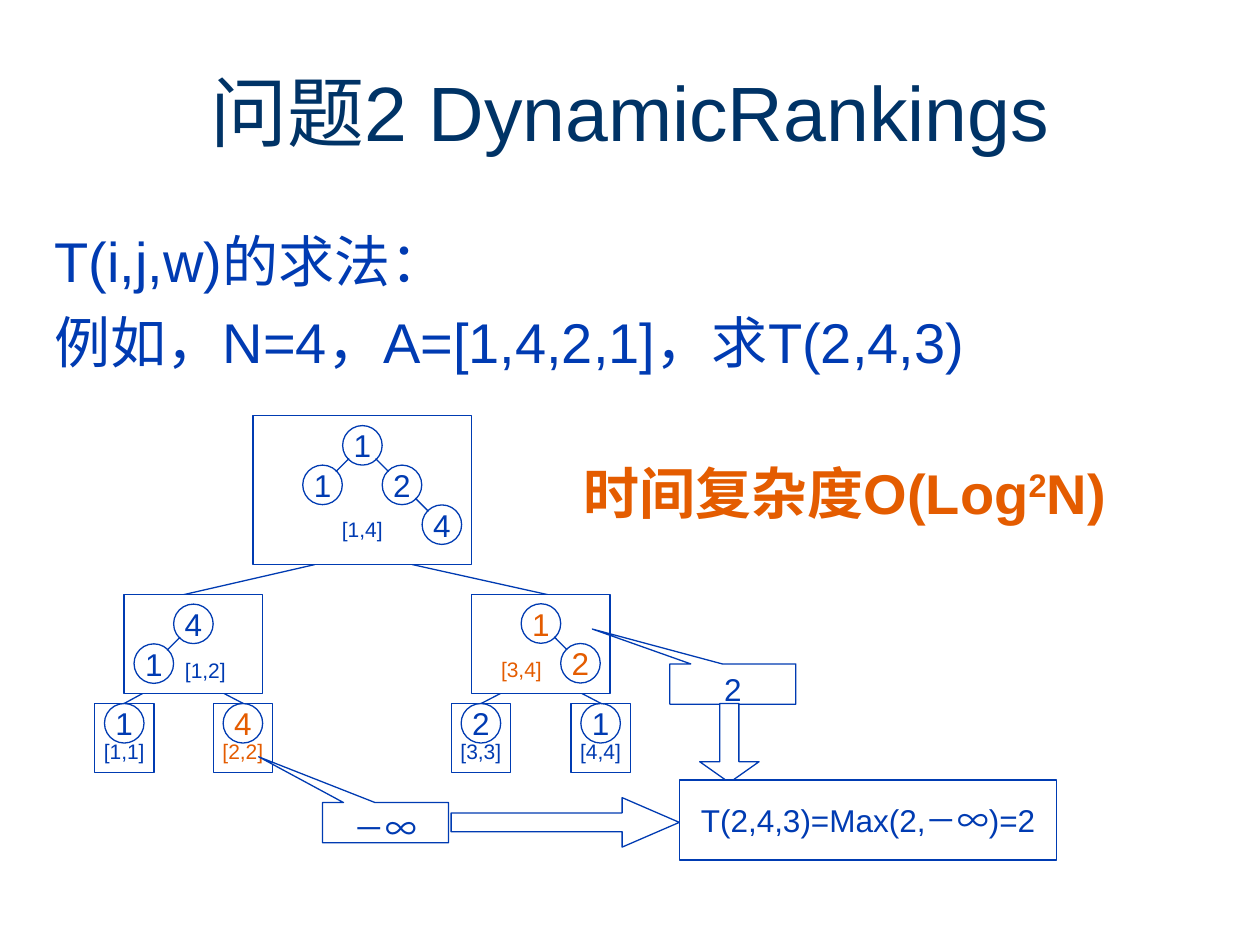
import pptx
import pptx.util
import pptx.dml.color
import pptx.enum.shapes
import pptx.enum.text
import pptx.oxml.ns
import lxml.etree
from dataclasses import dataclass

Pt = pptx.util.Pt
Kind = pptx.enum.shapes.MSO_SHAPE
Align = pptx.enum.text.PP_ALIGN
Anchor = pptx.enum.text.MSO_ANCHOR

INKS = {"navy": "003366", "blue": "003BB2", "orange": "E45C00", "white": "FFFFFF"}
ROUND = 22.6  # circle size
PAD = {"margin_left": Pt(7.2), "margin_right": Pt(7.2),
       "margin_top": Pt(3.6), "margin_bottom": Pt(3.6)}
BARE = dict.fromkeys(PAD, 0)


@dataclass
class Node:
    """A tree box; keys are (text, x, y), edges are pairs of key numbers."""
    label: str
    box: tuple
    keys: list
    edges: tuple = ()
    ink: str = "blue"
    low: float = 5      # gap under the label
    shift: float = 0    # label offset from the middle


def tint(name: str):
    return pptx.dml.color.RGBColor.from_string(INKS[name])


def apply(target, values: dict) -> None:
    for name, value in values.items():
        setattr(target, name, value)


def write(shape, lines: list, size: float, ink: str = "blue", align=Align.CENTER,
          bold: bool = False, before: float = 0, **frame) -> None:
    """Each line is a list of runs; a run starting with ^ is raised."""
    body = shape.text_frame
    apply(body, {"word_wrap": True, "vertical_anchor": Anchor.TOP, **PAD, **frame})
    for i, runs in enumerate(lines):
        para = body.add_paragraph() if i else body.paragraphs[0]
        apply(para, {"alignment": align, "space_before": Pt(before)})
        for text in runs:
            run = para.add_run()
            run.text = text.lstrip("^")
            apply(run.font, {"name": "Arial", "size": Pt(size), "bold": bold})
            run.font.color.rgb = tint(ink)
            if text.startswith("^"):
                run._r.get_or_add_rPr().set("baseline", "30000")


def draw(kind, box: tuple, adjust: tuple = ()):
    shape = slide.shapes.add_shape(kind, *map(Pt, box))
    shape.shadow.inherit = False
    shape.fill.solid()
    shape.fill.fore_color.rgb = tint("white")
    shape.line.color.rgb = tint("blue")
    shape.line.width = Pt(0.74)
    for i, value in enumerate(adjust):
        shape.adjustments[i] = value
    return shape


def link(x1: float, y1: float, x2: float, y2: float) -> None:
    line = slide.shapes.add_connector(
        pptx.enum.shapes.MSO_CONNECTOR.STRAIGHT, *map(Pt, (x1, y1, x2, y2)))
    line.line.color.rgb = tint("blue")
    line.line.width = Pt(0.74)
    lxml.etree.SubElement(line._element.spPr, pptx.oxml.ns.qn("a:effectLst"))


def plant(node: Node) -> None:
    write(draw(Kind.RECTANGLE, node.box), [[node.label]], 12, node.ink,
          **{**BARE, "vertical_anchor": Anchor.BOTTOM, "margin_bottom": Pt(node.low),
             "margin_left": Pt(max(0, 2 * node.shift)),
             "margin_right": Pt(max(0, -2 * node.shift))})
    for text, x, y in node.keys:
        write(draw(Kind.OVAL, (x, y, ROUND, ROUND)), [[text]], 18, node.ink,
              **BARE, vertical_anchor=Anchor.MIDDLE, word_wrap=False)
    # An edge shows the middle third between two centres
    for a, b in node.edges:
        (_, ax, ay), (_, bx, by) = node.keys[a], node.keys[b]
        half, dx, dy = ROUND / 2, (bx - ax) / 3, (by - ay) / 3
        link(ax + half + dx, ay + half + dy, bx + half - dx, by + half - dy)


def leaf(label: str, key: str, x: float, ink: str = "blue") -> Node:
    return Node(label, (x, 402, 34, 39.6), [(key, x + 5.7, 402)], ink=ink)


deck = pptx.Presentation()
deck.slide_width, deck.slide_height = Pt(720), Pt(540)
slide = deck.slides.add_slide(deck.slide_layouts[6])


def note(box: tuple, *args, **form) -> None:
    write(slide.shapes.add_textbox(*map(Pt, box)), *args, **form)


# Title and text
note((24, 18, 672, 90), [["问题2 DynamicRankings"]], 44, "navy",
     vertical_anchor=Anchor.MIDDLE)
note((24, 126, 672, 104.4),
     [["T(i,j,w)的求法："], ["例如，N=4，A=[1,4,2,1]，求T(2,4,3)"]], 32,
     align=Align.LEFT, before=8)

# Links between tree boxes
for ends in [(180, 322.6, 105, 339.8), (235.5, 322.6, 313, 339.8),
             (286.5, 396, 275, 402), (332, 396, 343.5, 402),
             (82, 396, 71, 402), (127.5, 396, 139, 402)]:
    link(*ends)

# Tree
nodes = [
    leaf("[1,1]", "1", 54),
    leaf("[3,3]", "2", 257.8),
    leaf("[4,4]", "1", 326.2),
    Node("[1,4]", (144.6, 237.6, 124.8, 85),
         [("1", 195.8, 243.2), ("2", 218.4, 265.8), ("1", 173, 265.8), ("4", 241.2, 288.5)],
         ((0, 1), (0, 2), (1, 3)), low=13),
    Node("[1,2]", (70.8, 339.8, 79.2, 56.6),
         [("4", 99.2, 345.2), ("1", 76.6, 367.9)], ((0, 1),), low=6.5, shift=7),
    leaf("[2,2]", "4", 121.8, "orange"),
    Node("[3,4]", (269.4, 339.6, 79.2, 56.6),
         [("1", 297.8, 345), ("2", 320.4, 367.7)], ((0, 1),), "orange", 6.5, -11),
]
for node in nodes:
    plant(node)

# Callouts, arrows and result
for text, box, tip in [("－∞", (184.3, 458.6, 72, 23), (-1.007, -1.637)),
                       ("2", (382.8, 379.4, 72, 23), (-1.115, -1.368))]:
    write(draw(Kind.RECTANGULAR_CALLOUT, box, tip), [[text]], 18)
draw(Kind.RIGHT_ARROW, (257.8, 455.8, 130.4, 28.3), (0.379, 1.155))
draw(Kind.DOWN_ARROW, (399.8, 402, 34, 45.2), (0.32, 0.352))
write(draw(Kind.RECTANGLE, (388.3, 445.7, 215.4, 45.8)), [["T(2,4,3)=Max(2,－∞)=2"]], 18,
      vertical_anchor=Anchor.MIDDLE, word_wrap=False)
note((326.2, 258.5, 345.6, 46), [["时间复杂度O(Log", "^2", "N)"]], 32, "orange",
     align=Align.LEFT, bold=True)

deck.save("out.pptx")
